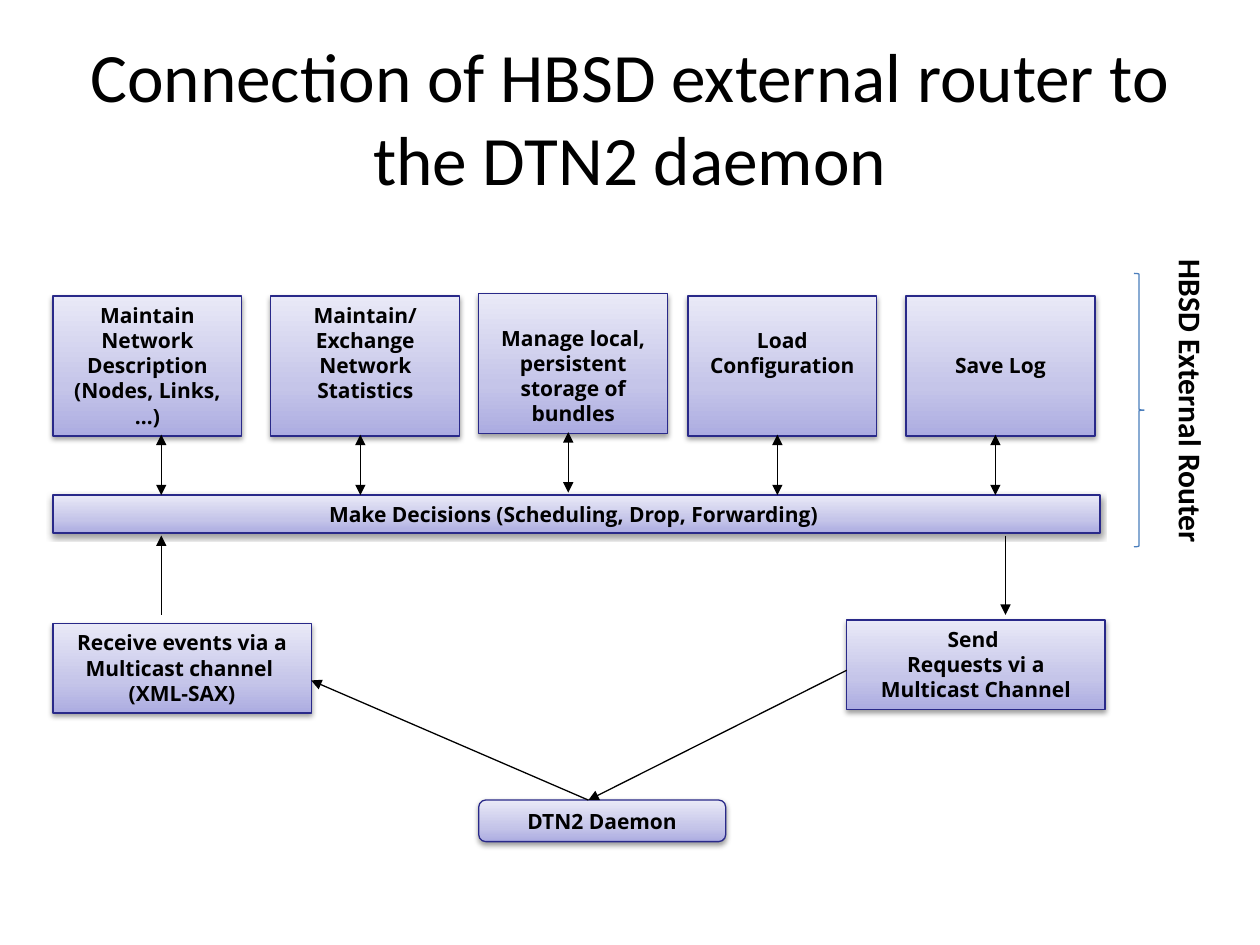
from pptx import Presentation
from pptx.dml.color import RGBColor
from pptx.enum.shapes import MSO_CONNECTOR, MSO_SHAPE
from pptx.enum.text import MSO_ANCHOR, PP_ALIGN
from pptx.oxml import parse_xml
from pptx.util import Inches, Pt

RECT = MSO_SHAPE.RECTANGLE
ROUNDED = MSO_SHAPE.ROUNDED_RECTANGLE
BRACE = MSO_SHAPE.RIGHT_BRACE
STRAIGHT = MSO_CONNECTOR.STRAIGHT
CENTER = PP_ALIGN.CENTER
MIDDLE = MSO_ANCHOR.MIDDLE
BLACK = RGBColor(0x00, 0x00, 0x00)
NAVY = RGBColor(0x29, 0x29, 0x89)
BLUE = RGBColor(0x4B, 0x7E, 0xBC)

NS = 'xmlns:a="http://schemas.openxmlformats.org/drawingml/2006/main"'
LAVENDER = (f'<a:gradFill {NS} rotWithShape="1"><a:gsLst>'
            '<a:gs pos="0"><a:srgbClr val="ACACE1"/></a:gs>'
            '<a:gs pos="35000"><a:srgbClr val="C5C5E9"/></a:gs>'
            '<a:gs pos="100000"><a:srgbClr val="E9E9F7"/></a:gs>'
            '</a:gsLst><a:lin ang="16200000" scaled="1"/></a:gradFill>')
SHADOW = (f'<a:effectLst {NS}><a:outerShdw blurRad="40000" dist="20000" '
          'dir="5400000" rotWithShape="0"><a:srgbClr val="000000">'
          '<a:alpha val="38000"/></a:srgbClr></a:outerShdw></a:effectLst>')
LINE_HEIGHT = 0.2

prs = Presentation()
prs.slide_width, prs.slide_height = Inches(10), Inches(7.5)
slide = prs.slides.add_slide(prs.slide_layouts[6])
shapes = slide.shapes


def add_box(text, left, top, width, height, lines_above=0, outline=RECT):
    box = shapes.add_shape(outline, *map(Inches, (left, top, width, height)))
    properties = box._element.spPr
    properties.insert(2, parse_xml(LAVENDER))
    box.line.color.rgb = NAVY
    box.line.width = Pt(0.75)
    properties.append(parse_xml(SHADOW))
    frame = box.text_frame
    frame.word_wrap = True
    frame.vertical_anchor = MSO_ANCHOR.TOP
    frame.margin_top = Inches(0.05 + lines_above * LINE_HEIGHT)
    frame.text = text
    for paragraph in frame.paragraphs:
        paragraph.alignment = CENTER
        paragraph.font.name = "Open Sans"
        paragraph.font.size = Pt(12)
        paragraph.font.bold = True
        paragraph.font.color.rgb = BLACK


def add_arrow(start, end, ends=("tailEnd",)):
    arrow = shapes.add_connector(STRAIGHT, *map(Inches, start + end))
    arrow.line.color.rgb = BLACK
    arrow.line.width = Pt(0.75)
    for tip in ends:
        arrow.line._get_or_add_ln().append(parse_xml(f'<a:{tip} {NS} type="triangle"/>'))
    arrow._element.spPr.append(parse_xml(f"<a:effectLst {NS}/>"))


title = shapes.add_textbox(Inches(0.5), Inches(0.3), Inches(9), Inches(1.25))
title.text_frame.word_wrap = True
title.text_frame.vertical_anchor = MIDDLE
heading = title.text_frame.paragraphs[0]
heading.text = "Connection of HBSD external router to the DTN2 daemon"
heading.alignment = CENTER
heading.font.name = "Calibri"
heading.font.size = Pt(39.6)
heading.font.color.rgb = BLACK

modules_row = [
    ("Maintain Network Description (Nodes, Links, …)", 0.42, 2.35, 0, 1.28),
    ("Maintain/ Exchange Network Statistics", 2.15, 2.35, 0, 2.86),
    ("Manage local, persistent storage of bundles", 3.8, 2.33, 1, 4.51),
    ("Load Configuration", 5.46, 2.35, 1, 6.17),
    ("Save Log", 7.19, 2.35, 2, 7.9),
]
add_box("Make Decisions (Scheduling, Drop, Forwarding) ", 0.42, 3.93, 8.31, 0.3)
for task, left, top, lines_above, link in modules_row:
    add_box(task, left, top, 1.5, 1.11, lines_above)
    add_arrow((link, top + 1.1), (link, top + 1.58), ("headEnd", "tailEnd"))

add_box("Receive events via a Multicast channel  (XML-SAX)", 0.42, 4.95, 2.05, 0.71)
add_box("Send \nRequests vi a Multicast Channel", 6.72, 4.92, 2.05, 0.71)
add_box("DTN2 Daemon", 3.8, 6.35, 1.96, 0.33, outline=ROUNDED)

for start, end in [
    ((1.28, 4.88), (1.28, 4.25)),
    ((7.98, 4.25), (7.98, 4.88)),
    ((4.67, 6.35), (2.47, 5.4)),
    ((6.72, 5.32), (4.67, 6.35)),
]:
    add_arrow(start, end)

router_brace = shapes.add_shape(BRACE, Inches(9), Inches(2.17), Inches(0.08), Inches(2.17))
router_brace.shadow.inherit = False
router_brace.fill.background()
router_brace.line.color.rgb = BLUE
router_brace.line.width = Pt(0.75)

router_label = shapes.add_textbox(Inches(8.22), Inches(3), Inches(2.47), Inches(0.4))
router_label.rotation = 90
router_label.text_frame.word_wrap = False
router_name = router_label.text_frame.paragraphs[0]
router_name.text = "HBSD External Router"
router_name.font.name = "Calibri"
router_name.font.size = Pt(18)
router_name.font.bold = True
router_name.font.color.rgb = BLACK

prs.save("out.pptx")
